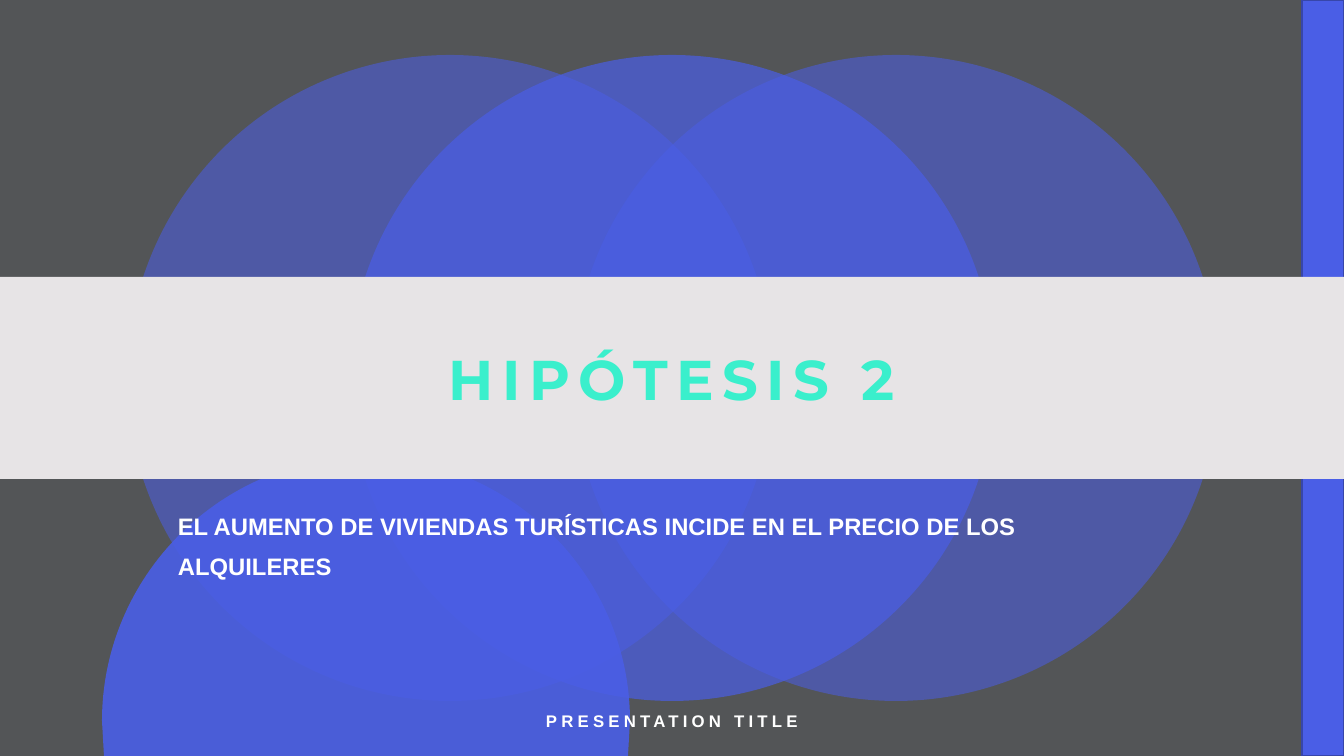
from lxml import etree
from pptx import Presentation
from pptx.dml.color import RGBColor
from pptx.enum.shapes import MSO_SHAPE
from pptx.enum.text import MSO_ANCHOR, PP_ALIGN
from pptx.oxml.ns import qn
from pptx.util import Pt

RECTANGLE, OVAL = MSO_SHAPE.RECTANGLE, MSO_SHAPE.OVAL
TOP, MIDDLE = MSO_ANCHOR.TOP, MSO_ANCHOR.MIDDLE
LEFT, CENTER = PP_ALIGN.LEFT, PP_ALIGN.CENTER

WIDTH, HEIGHT = 1344, 756
PX = 12192000 / WIDTH
COLORS = {
    "background": "535557",
    "blue": "4A5EE6",
    "bar edge": "3746AA",
    "band": "E7E4E6",
    "title": "3AEFCC",
    "white": "FFFFFF",
}


def emu(*lengths):
    return [round(length * PX) for length in lengths]


def paint(shape, color, opacity=100):
    """Give the shape a flat fill with no line or shadow; opacity is in percent."""
    shape.shadow.inherit = False
    shape.line.fill.background()
    shape.fill.solid()
    shape.fill.fore_color.rgb = RGBColor.from_string(COLORS[color])
    if opacity < 100:
        fill_color = shape._element.spPr.find(qn("a:solidFill"))[0]
        etree.SubElement(fill_color, qn("a:alpha"), val=str(opacity * 1000))


presentation = Presentation()
presentation.slide_width, presentation.slide_height = emu(WIDTH, HEIGHT)
slide = presentation.slides.add_slide(presentation.slide_layouts[6])
slide.background.fill.solid()
slide.background.fill.fore_color.rgb = RGBColor.from_string(COLORS["background"])

# Bar along the right edge
side_bar = slide.shapes.add_shape(RECTANGLE, *emu(1302, 0, 42, HEIGHT))
paint(side_bar, "blue")
side_bar.line.color.rgb = RGBColor.from_string(COLORS["bar edge"])
side_bar.line.width = Pt(1)

# Circle cut off by the bottom edge: its upper half is two curved quarters
center_x, center_y, radius, cut_inset = 366, 721, 264, 2
left, right, top = center_x - radius, center_x + radius, center_y - radius
builder = slide.shapes.build_freeform(*emu(center_x, top))
builder.add_line_segments([
    emu(right, center_y),
    emu(right - cut_inset, HEIGHT),
    emu(left + cut_inset, HEIGHT),
    emu(left, center_y),
    emu(center_x, top),
], close=False)
cut_circle = builder.convert_to_shape()
paint(cut_circle, "blue", 90)

handle = round(radius * 0.55)
lines = list(cut_circle._element.iter(qn("a:lnTo")))
quarters = [
    (lines[0], [(radius + handle, 0), (2 * radius, radius - handle)]),
    (lines[-1], [(0, radius - handle), (radius - handle, 0)]),
]
for line, controls in quarters:
    curve = etree.Element(qn("a:cubicBezTo"))
    for control in controls:
        x, y = emu(*control)
        etree.SubElement(curve, qn("a:pt"), x=str(x), y=str(y))
    curve.append(line[0])
    line.getparent().replace(line, curve)

# Three overlapping circles, the middle one on top
circles = slide.shapes.add_group_shape()
for circle_left, opacity in ((127, 55), (573, 55), (349, 70)):
    circle = circles.shapes.add_shape(OVAL, *emu(circle_left, 55, 646, 646))
    paint(circle, "blue", opacity)

title_band = slide.shapes.add_shape(RECTANGLE, *emu(0, 277, WIDTH, 202))
paint(title_band, "band")

# box, text, font, size, color, letter spacing, line spacing, alignment, anchor
TEXTS = [
    ((168, 306, 1008, 152), "HIPÓTESIS 2",
     "Montserrat", 40, "title", 6, 0.9, CENTER, MIDDLE),
    ((168, 495, 1008, 84),
     "EL AUMENTO DE VIVIENDAS TURÍSTICAS INCIDE EN EL PRECIO DE LOS ALQUILERES",
     "Arial", 17, "white", 0, 1.4, LEFT, TOP),
    ((445, 701, 454, 40), "PRESENTATION TITLE",
     "Arial", 12, "white", 3, 1.0, CENTER, MIDDLE),
]
for box, text, font, size, color, tracking, line_spacing, alignment, anchor in TEXTS:
    text_box = slide.shapes.add_textbox(*emu(*box))
    frame = text_box.text_frame
    frame.word_wrap = True
    frame.vertical_anchor = anchor
    paragraph = frame.paragraphs[0]
    paragraph.text = text
    paragraph.alignment = alignment
    paragraph.line_spacing = line_spacing
    paragraph.font.name = font
    paragraph.font.size = Pt(size)
    paragraph.font.bold = True
    paragraph.font.color.rgb = RGBColor.from_string(COLORS[color])
    if tracking:
        paragraph.runs[0].font._element.set("spc", str(tracking * 100))

presentation.save("out.pptx")
